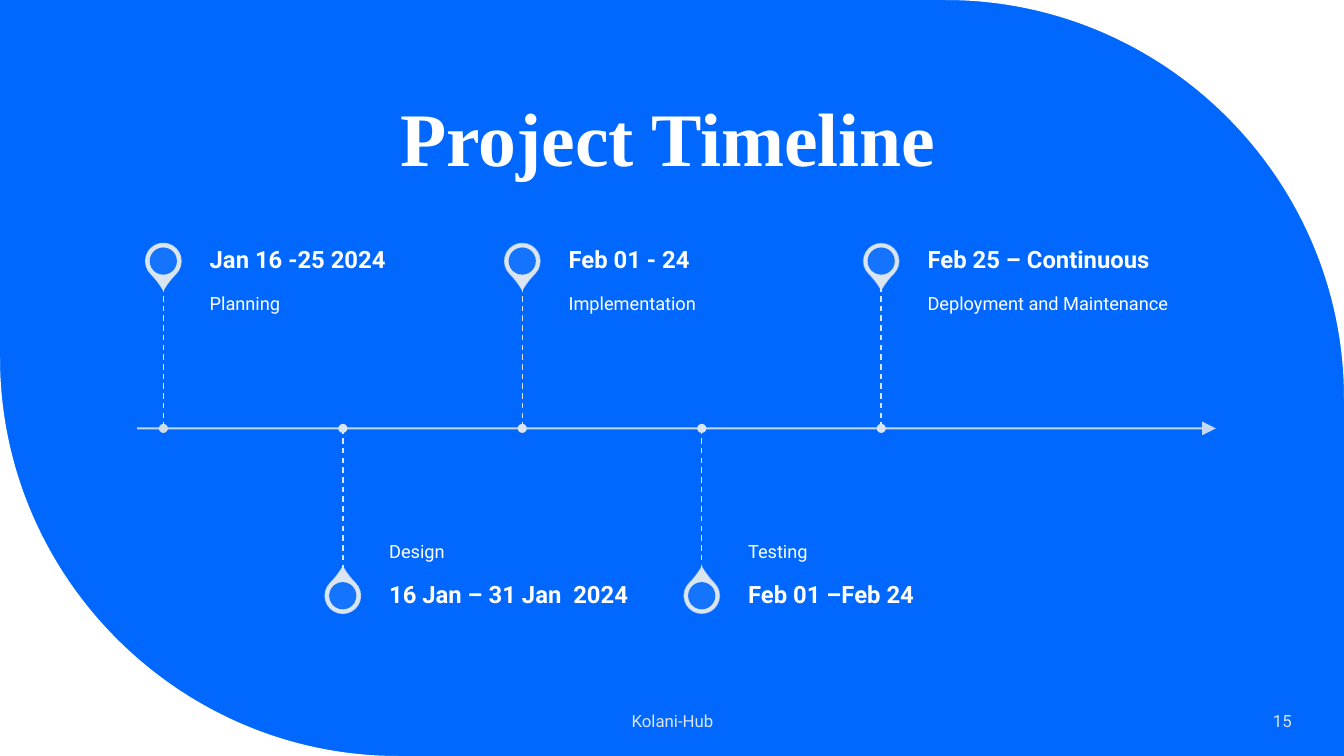
from dataclasses import dataclass

from lxml import etree
from pptx import Presentation
from pptx.dml.color import RGBColor
from pptx.enum.dml import MSO_LINE
from pptx.enum.shapes import MSO_CONNECTOR, MSO_SHAPE
from pptx.enum.text import MSO_ANCHOR, PP_ALIGN
from pptx.oxml.ns import qn
from pptx.util import Inches, Pt

BLUE = RGBColor(0x00, 0x68, 0xFF)
WHITE = RGBColor(0xFF, 0xFF, 0xFF)
PALE = RGBColor(0xDA, 0xE5, 0xEF)
DIM_PALE = RGBColor(0xD0, 0xDB, 0xE4)

STRAIGHT = MSO_CONNECTOR.STRAIGHT
TEARDROP, ELLIPSE = MSO_SHAPE.TEAR, MSO_SHAPE.OVAL
DASH = MSO_LINE.DASH
TOP, MIDDLE, BOTTOM = MSO_ANCHOR.TOP, MSO_ANCHOR.MIDDLE, MSO_ANCHOR.BOTTOM
LEFT, CENTER, RIGHT = PP_ALIGN.LEFT, PP_ALIGN.CENTER, PP_ALIGN.RIGHT

SLIDE_WIDTH, SLIDE_HEIGHT = 13.33, 7.5
CORNER_RADIUS = 3.95
ARC_HANDLE = 0.55
AXIS_Y = 4.25
FIRST_X, PITCH = 1.62, 1.78
PIN_SIZE, HOLE_SIZE, DOT_SIZE = 0.35, 0.27, 0.09
STEM_LENGTH, DATE_HEIGHT = 1.41, 0.5
TEXT_OFFSET, TEXT_WIDTH = 0.46, 2.53

Point = tuple[float, float]


@dataclass(frozen=True)
class Milestone:
    date: str
    phase: str
    dot_color: RGBColor = PALE


@dataclass(frozen=True)
class TextStyle:
    size: float
    color: RGBColor = WHITE
    font: str = "Roboto"
    bold: bool = False
    anchor: MSO_ANCHOR = MIDDLE
    align: PP_ALIGN = LEFT
    line_spacing: float = 0.9
    insets: tuple[float, float, float, float] = (0.1, 0.05, 0.1, 0.05)


MILESTONES = [
    Milestone("Jan 16 -25 2024", "Planning", DIM_PALE),
    Milestone("16 Jan – 31 Jan  2024", "Design"),
    Milestone("Feb 01 - 24", "Implementation"),
    Milestone("Feb 01 –Feb 24", "Testing"),
    Milestone("Feb 25 – Continuous", "Deployment and Maintenance"),
]

TITLE_STYLE = TextStyle(54, font="Times New Roman", bold=True, anchor=BOTTOM, align=CENTER)
DATE_STYLE = TextStyle(17, bold=True, insets=(0, 0, 0.12, 0))
PHASE_ABOVE_STYLE = TextStyle(13, anchor=TOP, insets=(0, 0.11, 0.09, 0.14))
PHASE_BELOW_STYLE = TextStyle(13, anchor=BOTTOM, insets=(0, 0.14, 0, 0.11))
FOOTER_STYLE = TextStyle(12, PALE, align=CENTER, line_spacing=1.0)
NUMBER_STYLE = TextStyle(12, PALE, align=RIGHT, line_spacing=1.0)


def set_alpha(color_parent, percent: int) -> None:
    """Set the opacity of the solid fill directly inside color_parent."""
    color = color_parent.find(qn("a:solidFill"))[0]
    etree.SubElement(color, qn("a:alpha")).set("val", str(percent * 1000))


def fill_plain(shape, color: RGBColor) -> None:
    shape.shadow.inherit = False
    shape.fill.solid()
    shape.fill.fore_color.rgb = color
    shape.line.fill.background()


def add_text(slide, text: str, left: float, top: float, width: float, height: float,
             style: TextStyle) -> None:
    box = slide.shapes.add_textbox(Inches(left), Inches(top), Inches(width), Inches(height))
    frame = box.text_frame
    frame.word_wrap = True
    frame.vertical_anchor = style.anchor
    (frame.margin_left, frame.margin_top,
     frame.margin_right, frame.margin_bottom) = map(Inches, style.insets)
    frame.text = text
    paragraph = frame.paragraphs[0]
    paragraph.alignment = style.align
    paragraph.line_spacing = style.line_spacing
    font = paragraph.runs[0].font
    font.name, font.size, font.bold = style.font, Pt(style.size), style.bold
    font.color.rgb = style.color


def add_line(slide, start: Point, end: Point, width: float):
    line = slide.shapes.add_connector(STRAIGHT, *map(Inches, start + end))
    line.line.color.rgb = PALE
    line.line.width = Pt(width)
    etree.SubElement(line._element.spPr, qn("a:effectLst"))
    return line


def add_centered_shape(slide, kind: MSO_SHAPE, x: float, y: float, size: float,
                       color: RGBColor):
    shape = slide.shapes.add_shape(kind, Inches(x - size / 2), Inches(y - size / 2),
                                   Inches(size), Inches(size))
    fill_plain(shape, color)
    return shape


def add_corner(slide, corner: Point, arc_start: Point, arc_end: Point) -> None:
    """Fill the area between a slide corner and a quarter circle."""
    builder = slide.shapes.build_freeform(*map(Inches, corner))
    builder.add_line_segments([tuple(map(Inches, arc_start)), tuple(map(Inches, arc_end))],
                              close=True)
    shape = builder.convert_to_shape()
    fill_plain(shape, WHITE)

    # Turn the straight edge between the arc ends into one curve.
    outline = shape._element.spPr.find(".//" + qn("a:path"))
    corner_point, start, end = [(int(point.get("x")), int(point.get("y")))
                                for point in outline.iter(qn("a:pt"))]
    handles = [tuple(round(a + ARC_HANDLE * (c - a)) for a, c in zip(arc_tip, corner_point))
               for arc_tip in (start, end)]
    curve = etree.Element(qn("a:cubicBezTo"))
    for x, y in (*handles, end):
        etree.SubElement(curve, qn("a:pt"), x=str(x), y=str(y))
    outline.replace(outline.findall(qn("a:lnTo"))[1], curve)


def add_axis(slide) -> None:
    axis = add_line(slide, (1.36, AXIS_Y), (12.06, AXIS_Y), 1.5)
    line_element = axis.line._get_or_add_ln()
    set_alpha(line_element, 90)
    etree.SubElement(line_element, qn("a:tailEnd"), type="triangle", w="lg", len="lg")


def add_milestone(slide, index: int, milestone: Milestone) -> None:
    """Draw one milestone; even ones stand above the axis, odd ones hang below."""
    above = index % 2 == 0
    direction = -1 if above else 1
    x = FIRST_X + index * PITCH
    stem_end = AXIS_Y + direction * STEM_LENGTH
    stem_top = min(AXIS_Y, stem_end)
    pin_y = stem_end + direction * DATE_HEIGHT / 2

    pin = add_centered_shape(slide, TEARDROP, x, pin_y, PIN_SIZE, PALE)
    pin.adjustments[0] = 1.15
    pin.rotation = 135 if above else 315
    pin.line.color.rgb = PALE
    pin.line.width = Pt(1)
    set_alpha(pin.line._get_or_add_ln(), 90 - 10 * index)
    hole = add_centered_shape(slide, ELLIPSE, x, pin_y, HOLE_SIZE, BLUE)
    set_alpha(hole._element.spPr, 90)

    text_left = x + TEXT_OFFSET
    add_text(slide, milestone.phase, text_left, stem_top, TEXT_WIDTH, STEM_LENGTH,
             PHASE_ABOVE_STYLE if above else PHASE_BELOW_STYLE)
    add_text(slide, milestone.date, text_left, pin_y - DATE_HEIGHT / 2, TEXT_WIDTH,
             DATE_HEIGHT, DATE_STYLE)

    stem = add_line(slide, (x, stem_top), (x, stem_top + STEM_LENGTH), 1)
    stem.line.dash_style = DASH
    add_centered_shape(slide, ELLIPSE, x, AXIS_Y, DOT_SIZE, milestone.dot_color)


def main() -> None:
    presentation = Presentation()
    presentation.slide_width = Inches(SLIDE_WIDTH)
    presentation.slide_height = Inches(SLIDE_HEIGHT)
    slide = presentation.slides.add_slide(presentation.slide_layouts[6])
    slide.background.fill.solid()
    slide.background.fill.fore_color.rgb = BLUE

    add_corner(slide, (SLIDE_WIDTH, 0), (SLIDE_WIDTH - CORNER_RADIUS, 0),
               (SLIDE_WIDTH, CORNER_RADIUS))
    add_corner(slide, (0, SLIDE_HEIGHT), (CORNER_RADIUS, SLIDE_HEIGHT),
               (0, SLIDE_HEIGHT - CORNER_RADIUS))
    add_axis(slide)
    for index, milestone in enumerate(MILESTONES):
        add_milestone(slide, index, milestone)
    add_text(slide, "Project Timeline", 1.28, 0.41, 10.69, 1.45, TITLE_STYLE)
    add_text(slide, "Kolani-Hub", 4.42, 6.95, 4.5, 0.4, FOOTER_STYLE)
    add_text(slide, "15", 11.1, 6.95, 1.81, 0.4, NUMBER_STYLE)
    presentation.save("out.pptx")


if __name__ == "__main__":
    main()
